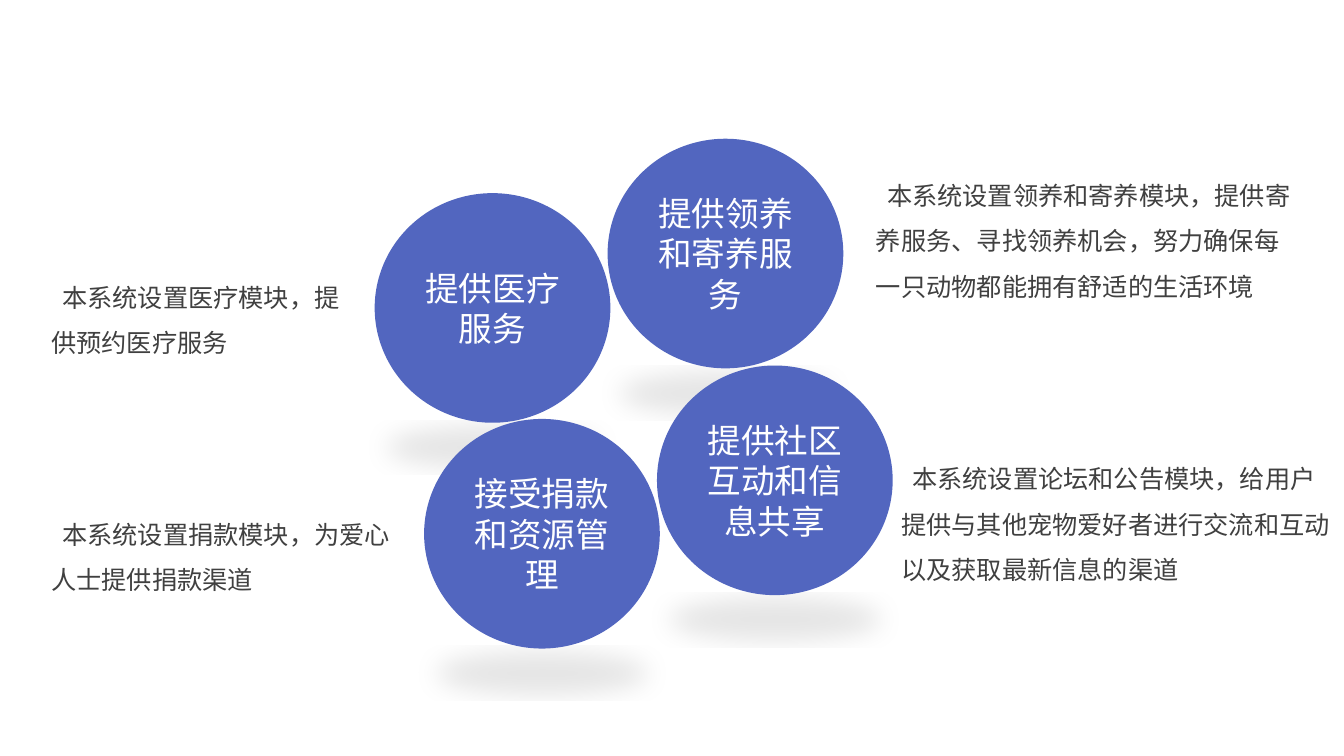
from lxml import etree
from pptx import Presentation
from pptx.dml.color import RGBColor
from pptx.enum import shapes, text
from pptx.oxml import parse_xml
from pptx.oxml.ns import nsdecls
from pptx.util import Inches, Pt

FONT = "Noto Sans CJK SC"
BLUE, WHITE, GREY = "5266BF", "FFFFFF", "404040"
CIRCLE_WIDTH, CIRCLE_HEIGHT = 2.31, 2.25
FIRST_LINE_INDENT = 0.11

CIRCLES = [
    ("提供医疗服务", 3.73, 1.93),
    ("接受捐款和资源管理", 4.22, 4.17),
    ("提供领养和寄养服务", 6.04, 1.39),
    ("提供社区互动和信息共享", 6.53, 3.64),
]
DESCRIPTIONS = [
    ("本系统设置领养和寄养模块，提供寄养服务、寻找领养机会，努力确保每一只动物都能拥有舒适的生活环境",
     8.59, 1.59, 4.43, 1.42),
    ("本系统设置捐款模块，为爱心人士提供捐款渠道", 0.41, 4.95, 3.69, 1.2),
    ("本系统设置医疗模块，提供预约医疗服务", 0.41, 2.6, 3.14, 0.97),
    ("本系统设置论坛和公告模块，给用户提供与其他宠物爱好者进行交流和互动以及获取最新信息的渠道",
     8.84, 4.4, 4.49, 1.47),
]


def color(value):
    return RGBColor.from_string(value)


def add_run(paragraph, words, size, value):
    run = paragraph.add_run()
    run.text = words
    run.font.size = Pt(size)
    run.font.name = FONT
    run.font.color.rgb = color(value)
    properties = run.font._element
    east_asian = parse_xml(f'<a:ea {nsdecls("a")} typeface="{FONT}"/>')
    properties.append(east_asian)


def add_floor_shadow(shape):
    shape.shadow.inherit = False
    effects = shape._element.spPr.find("{*}effectLst")
    effects.append(etree.fromstring(
        f'<a:outerShdw {nsdecls("a")} blurRad="{Pt(19)}" dist="{Pt(3)}" dir="5400000"'
        ' sx="90000" sy="-19000" algn="b" rotWithShape="0">'
        '<a:srgbClr val="000000"><a:alpha val="10000"/></a:srgbClr></a:outerShdw>'))


def add_description(slide, words, *box):
    frame = slide.shapes.add_textbox(*map(Inches, box)).text_frame
    frame.word_wrap = True
    paragraph = frame.paragraphs[0]
    paragraph.line_spacing = 1.5
    paragraph._p.get_or_add_pPr().set("indent", str(Inches(FIRST_LINE_INDENT)))
    add_run(paragraph, words, 18, GREY)


def add_circle(slide, words, left, top):
    box = map(Inches, (left, top, CIRCLE_WIDTH, CIRCLE_HEIGHT))
    circle = slide.shapes.add_shape(shapes.MSO_SHAPE.OVAL, *box)
    circle.fill.solid()
    circle.fill.fore_color.rgb = color(BLUE)
    circle.line.color.rgb = color(BLUE)
    circle.line.width = Pt(2)
    add_floor_shadow(circle)
    frame = circle.text_frame
    frame.word_wrap = True
    frame.vertical_anchor = text.MSO_ANCHOR.MIDDLE
    paragraph = frame.paragraphs[0]
    paragraph.alignment = text.PP_ALIGN.CENTER
    add_run(paragraph, words, 24, WHITE)


def main():
    presentation = Presentation()
    presentation.slide_width = Inches(13.33)
    presentation.slide_height = Inches(7.5)
    slide = presentation.slides.add_slide(presentation.slide_layouts[6])
    for description in DESCRIPTIONS:
        add_description(slide, *description)
    for circle in CIRCLES:
        add_circle(slide, *circle)
    presentation.save("out.pptx")


if __name__ == "__main__":
    main()
